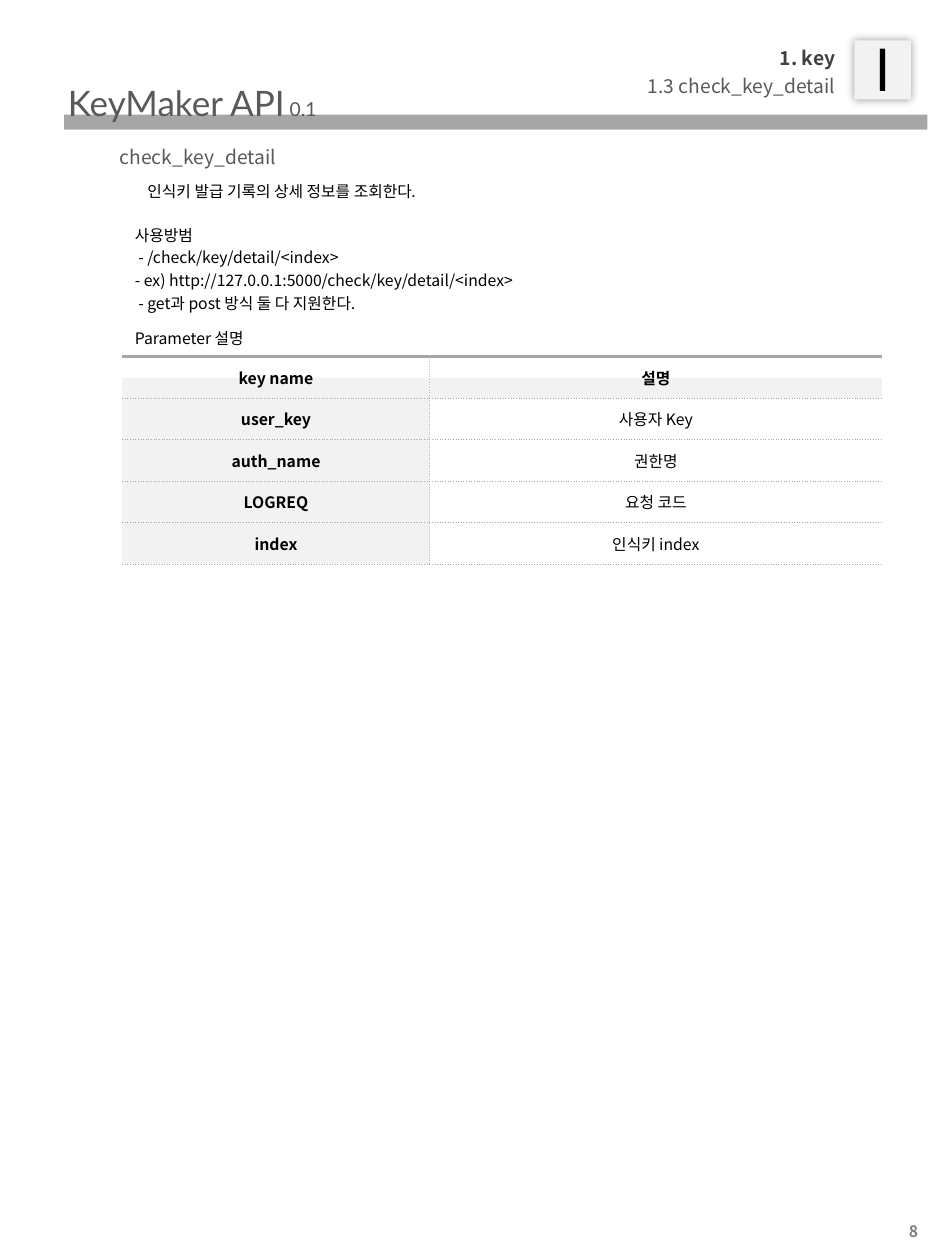
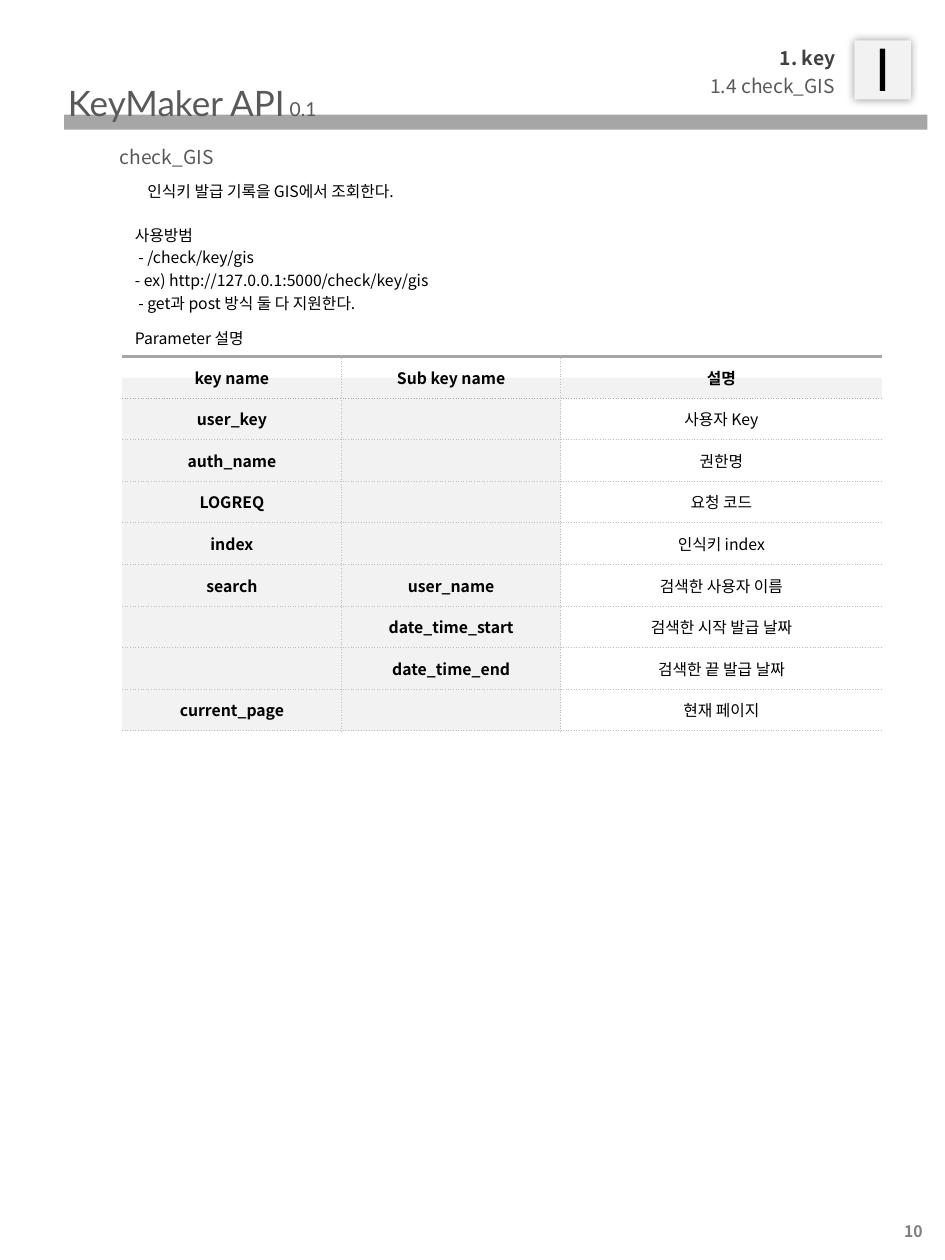
import pptx
import pptx.dml.color
import pptx.enum.shapes
import pptx.enum.text
import pptx.oxml
import pptx.oxml.ns
import pptx.util
from lxml import etree
from pptx.util import Inches

ALIGN = pptx.enum.text.PP_ALIGN
ANCHOR = pptx.enum.text.MSO_ANCHOR
SHAPE = pptx.enum.shapes.MSO_SHAPE
qn = pptx.oxml.ns.qn

BODY_FONT, TITLE_FONT = "Noto Sans CJK KR", "Lato"
BLACK, WHITE = "000000", "FFFFFF"
CHARCOAL, SLATE, GRAY = "404040", "595959", "7F7F7F"
BAND, DIVIDER, PALE = "A6A6A6", "BFBFBF", "F2F2F2"
PADDING = (0.1, 0.05)
ROW_HEIGHT = 0.33


def rgb(hex_color):
    return pptx.dml.color.RGBColor.from_string(hex_color)


class ApiDeck:
    def __init__(self):
        self.deck = pptx.Presentation()
        self.deck.slide_width, self.deck.slide_height = Inches(7.5), Inches(10)
        self.slide = None

    def new_slide(self):
        self.slide = self.deck.slides.add_slide(self.deck.slide_layouts[6])

    def style(self, paragraph, size, color=BLACK, bold=False, align=ALIGN.LEFT,
              spacing=None, font=BODY_FONT):
        paragraph.alignment = align
        paragraph.line_spacing = spacing
        paragraph.font.size = pptx.util.Pt(size)
        paragraph.font.bold = bold
        paragraph.font.color.rgb = rgb(color)
        paragraph.font.name = font
        # Korean text takes its face from the East Asian font entry
        defaults = paragraph._p.pPr.find(qn("a:defRPr"))
        etree.SubElement(defaults, qn("a:ea"), typeface=font)

    def frame(self, shape, lines, size, anchor=ANCHOR.TOP, padding=(0, 0), wrap=True, **look):
        """Write lines in one look and return their paragraphs."""
        frame = shape.text_frame
        frame.word_wrap = wrap
        frame.auto_size = pptx.enum.text.MSO_AUTO_SIZE.SHAPE_TO_FIT_TEXT
        frame.vertical_anchor = anchor
        frame.margin_left = frame.margin_right = Inches(padding[0])
        frame.margin_top = frame.margin_bottom = Inches(padding[1])
        frame.text = "\n".join(lines)
        for paragraph in frame.paragraphs:
            self.style(paragraph, size, **look)
        return frame.paragraphs

    def text(self, place, lines, size, **look):
        box = self.slide.shapes.add_textbox(*map(Inches, place))
        return self.frame(box, lines, size, **look)

    def body(self, place, *lines):
        self.text(place, lines, 9, align=ALIGN.JUSTIFY, spacing=1.2)

    def block(self, place, color=None, kind=SHAPE.RECTANGLE):
        shape = self.slide.shapes.add_shape(kind, *map(Inches, place))
        shape.shadow.inherit = False
        shape.line.fill.background()
        if color:
            shape.fill.solid()
            shape.fill.fore_color.rgb = rgb(color)
        else:
            shape.fill.background()
        return shape

    def glow_shadow(self, shape):
        effects = shape.element.spPr.find(qn("a:effectLst"))
        effects.append(pptx.oxml.parse_xml(
            f'<a:outerShdw {pptx.oxml.ns.nsdecls("a")} blurRad="{Inches(0.07)}" dist="0" dir="0" '
            f'algn="ctr" rotWithShape="0"><a:srgbClr val="{BLACK}"><a:alpha val="40000"/>'
            '</a:srgbClr></a:outerShdw>'))

    def border(self, cell, side, color=None, width=0.5, dash="sysDot"):
        """Draw one side of a cell (L, R, T or B), or clear it when no colour is given."""
        paint = (f'<a:solidFill><a:srgbClr val="{color}"/></a:solidFill><a:prstDash val="{dash}"/>'
                 if color else "<a:noFill/>")
        cell._tc.get_or_add_tcPr().append(pptx.oxml.parse_xml(
            f'<a:ln{side} {pptx.oxml.ns.nsdecls("a")} w="{pptx.util.Pt(width)}">{paint}</a:ln{side}>'))

    def header_fill(self, cell):
        cell.fill.gradient()
        cell.fill.gradient_angle = 270
        for stop, position, color in zip(cell.fill.gradient_stops, (0.5, 0.51), (WHITE, PALE)):
            stop.position = position
            stop.color.rgb = rgb(color)

    def parameter_table(self, widths, rows, rule):
        """Only the last column is plain; the columns before it hold bold keys on grey."""
        place = (0.97, 2.83, sum(widths), ROW_HEIGHT * len(rows))
        table = self.slide.shapes.add_table(len(rows), len(widths), *map(Inches, place)).table
        table.first_row = table.horz_banding = False
        for column, width in zip(table.columns, widths):
            column.width = Inches(width)
        last = len(widths) - 1
        for r, row in enumerate(rows):
            table.rows[r].height = Inches(ROW_HEIGHT)
            for c, words in enumerate(row):
                cell = table.cell(r, c)
                cell.margin_left = cell.margin_right = cell.margin_top = cell.margin_bottom = 0
                cell.vertical_anchor = ANCHOR.MIDDLE
                cell.text = words
                self.style(cell.text_frame.paragraphs[0], 9, bold=r == 0 or c < last,
                           align=ALIGN.CENTER)
                self.border(cell, "L", DIVIDER if c else None)
                self.border(cell, "R", DIVIDER if c < last else None)
                if r == 0:
                    self.border(cell, "T", BAND, 1.5, "solid")
                else:
                    self.border(cell, "T", BAND if r == 1 else rule)
                self.border(cell, "B", BAND if r == 0 else rule)
                if r == 0:
                    self.header_fill(cell)
                else:
                    cell.fill.solid()
                    cell.fill.fore_color.rgb = rgb(PALE if c < last else WHITE)

    def page_frame(self, page_number):
        self.block((0.51, 0.91, 6.85, 0.12), BAND)
        title, = self.text((0.44, 0.6, 2.83, 0.43), ["KeyMaker API"], 20, padding=PADDING,
                           color=SLATE, font=TITLE_FONT)
        version = title.add_run()
        version.text = " 0.1"
        version.font.size = pptx.util.Pt(11)
        self.glow_shadow(self.block((6.78, 0.32, 0.45, 0.47), PALE))
        self.text((7.06, 9.65, 0.38, 0.25), [str(page_number)], 9, anchor=ANCHOR.MIDDLE,
                  padding=PADDING, wrap=False, color=GRAY, bold=True, align=ALIGN.CENTER)

    def api_page(self, page_number, section, function, summary, route, widths, rows, rule):
        self.new_slide()
        self.page_frame(page_number)
        self.parameter_table(widths, rows, rule)
        self.text((6.84, 0.22, 0.37, 0.65), ["I"], 33, padding=PADDING)
        heading = self.block((0.94, 1.12, 4.77, 0.22), kind=SHAPE.ROUNDED_RECTANGLE)
        self.frame(heading, [function], 11, anchor=ANCHOR.MIDDLE, color=SLATE, spacing=1.2)
        self.body((1.17, 1.41, 5.71, 0.16), summary)
        chapter, _ = self.text((2.33, 0.33, 4.3, 0.44), ["1. key", f"{section} {function}"], 11,
                               anchor=ANCHOR.MIDDLE, color=SLATE, align=ALIGN.RIGHT, spacing=1.2)
        chapter.font.bold = True
        chapter.font.color.rgb = rgb(CHARCOAL)
        self.body((1.07, 1.76, 5.71, 0.73), "사용방범", f" - {route}",
                  f"- ex) http://127.0.0.1:5000{route}", " - get과 post 방식 둘 다 지원한다.")
        self.body((1.07, 2.58, 5.71, 0.16), "Parameter 설명")


COMMON_PARAMETERS = [
    ("user_key", "사용자 Key"),
    ("auth_name", "권한명"),
    ("LOGREQ", "요청 코드"),
    ("index", "인식키 index"),
]


def main():
    api = ApiDeck()
    api.api_page(
        8, "1.3", "check_key_detail", "인식키 발급 기록의 상세 정보를 조회한다.",
        "/check/key/detail/<index>", (2.44, 3.59),
        [("key name", "설명"), *COMMON_PARAMETERS], BAND)
    api.api_page(
        10, "1.4", "check_GIS", "인식키 발급 기록을 GIS에서 조회한다.",
        "/check/key/gis", (1.74, 1.74, 2.55),
        [("key name", "Sub key name", "설명"),
         *((key, "", meaning) for key, meaning in COMMON_PARAMETERS),
         ("search", "user_name", "검색한 사용자 이름"),
         ("", "date_time_start", "검색한 시작 발급 날짜"),
         ("", "date_time_end", "검색한 끝 발급 날짜"),
         ("current_page", "", "현재 페이지")], DIVIDER)
    api.deck.save("out.pptx")


if __name__ == "__main__":
    main()
